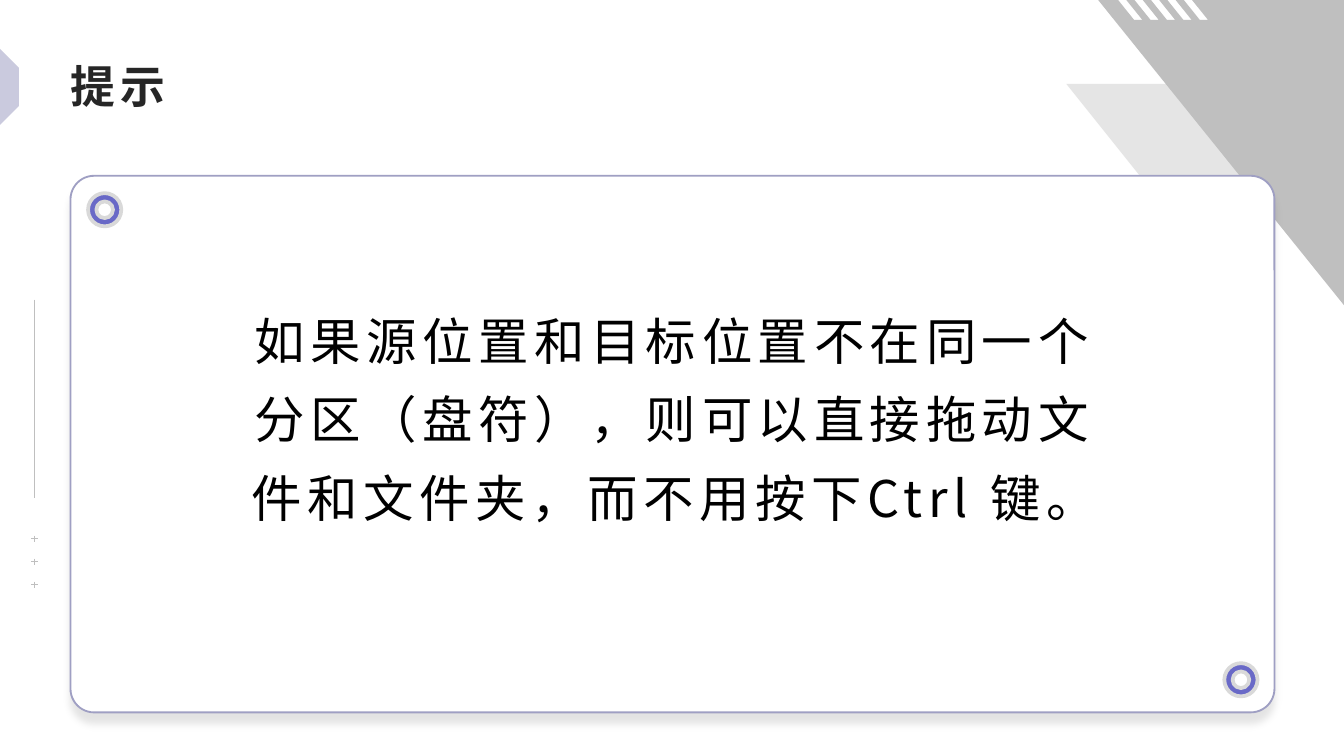
from dataclasses import dataclass

from lxml import etree
from pptx import Presentation
from pptx.dml.color import RGBColor
from pptx.enum import shapes, text
from pptx.oxml import ns
from pptx.util import Pt


@dataclass(frozen=True)
class Theme:
    font: str = "Noto Sans CJK SC"
    title_size: int = 24
    body_size: int = 27
    letter_spacing: int = 3
    title: str = "262626"
    body: str = "000000"
    white: str = "FFFFFF"
    gray: str = "BFBFBF"
    halo: str = "D9D9D9"
    border: str = "9F9FC3"
    accent: str = "6969C7"
    pale_accent: str = "CACADE"
    shadow: str = "000000"


def add_element(parent, tag, **attributes):
    values = {name: str(value) for name, value in attributes.items()}
    return etree.SubElement(parent, ns.qn(tag), values)


def set_attributes(target, values):
    for name, value in values.items():
        setattr(target, name, value)


class SlideBuilder:
    def __init__(self, slide, theme):
        self.slide = slide
        self.theme = theme

    def style(self, shape, fill, line=None, width=1):
        shape.shadow.inherit = False
        shape.fill.solid()
        shape.fill.fore_color.rgb = RGBColor.from_string(fill)
        if line:
            shape.line.color.rgb = RGBColor.from_string(line)
            shape.line.width = Pt(width)
        else:
            shape.line.fill.background()
        return shape

    def preset(self, kind, box, fill, line=None, width=1):
        shape = self.slide.shapes.add_shape(kind, *map(Pt, box))
        return self.style(shape, fill, line, width)

    def polygon(self, points, fill, alpha=None):
        corners = [(Pt(x), Pt(y)) for x, y in points]
        builder = self.slide.shapes.build_freeform(*corners[0])
        builder.add_line_segments(corners[1:], close=True)
        shape = self.style(builder.convert_to_shape(), fill)
        if alpha:
            color = shape.element.spPr.find(".//" + ns.qn("a:srgbClr"))
            add_element(color, "a:alpha", val=alpha * 1000)

    def line(self, x1, y1, x2, y2):
        connector = self.slide.shapes.add_connector(
            shapes.MSO_CONNECTOR.STRAIGHT, *map(Pt, (x1, y1, x2, y2)))
        connector.line.color.rgb = RGBColor.from_string(self.theme.gray)
        connector.line.width = Pt(0.5)
        add_element(connector.element.spPr, "a:effectLst")

    def plus(self, x, y, arm=1.7):
        self.line(x, y - arm, x, y + arm)
        self.line(x - arm, y, x + arm, y)

    def card(self, box):
        shape = self.preset(shapes.MSO_SHAPE.ROUNDED_RECTANGLE, box,
                            self.theme.white, self.theme.border)
        shape.adjustments[0] = 0.044
        effects = shape.element.spPr.find(ns.qn("a:effectLst"))
        shadow = add_element(effects, "a:outerShdw", blurRad=Pt(4), dist=Pt(6),
                             dir=90 * 60000, algn="t", rotWithShape=0)
        color = add_element(shadow, "a:srgbClr", val=self.theme.shadow)
        add_element(color, "a:alpha", val=11000)

    def ring(self, x, y):
        self.preset(shapes.MSO_SHAPE.DONUT, (x, y, 17.8, 17.8),
                    self.theme.accent, self.theme.halo, 2)

    def placeholder(self, shape, words, box, frame_format, paragraph_format, font_format, color):
        set_attributes(shape, dict(zip(("left", "top", "width", "height"), map(Pt, box))))
        frame = shape.text_frame
        set_attributes(frame, {"word_wrap": True, "auto_size": text.MSO_AUTO_SIZE.NONE,
                               **frame_format})
        frame.text = words
        paragraph = frame.paragraphs[0]
        properties = paragraph._p.get_or_add_pPr()
        set_attributes(paragraph, {"space_before": Pt(0), **paragraph_format})
        properties.set("marL", "0")
        properties.set("indent", "0")
        add_element(properties, "a:buNone")
        run = paragraph.runs[0]
        set_attributes(run.font, {"name": self.theme.font, **font_format})
        run.font.color.rgb = RGBColor.from_string(color)
        run_properties = run._r.get_or_add_rPr()
        run_properties.set("spc", str(self.theme.letter_spacing * 100))
        add_element(run_properties, "a:ea", typeface=self.theme.font)
        shape.element.getparent().append(shape.element)


def corner_outline():
    points = [(588.3, 0)]
    for index in range(5):
        left = 599 + 8.8 * index
        points += [(left, 0), (left + 8.6, 10.7), (left + 13, 10.7), (left + 4.4, 0)]
    return points + [(720, 0), (720, 163.5)]


def main():
    theme = Theme()
    presentation = Presentation()
    set_attributes(presentation, {"slide_width": Pt(720), "slide_height": Pt(405)})
    slide = presentation.slides.add_slide(presentation.slide_layouts[1])
    builder = SlideBuilder(slide, theme)

    builder.polygon([(571.3, 45), (720, 45), (720, 116.5), (628.5, 116.5)], theme.gray, 40)
    builder.polygon(corner_outline(), theme.gray)
    builder.line(18.5, 160.5, 18.5, 267)
    for index in range(3):
        builder.plus(18.5, 288.7 + 12.3 * index)

    builder.card((37.8, 94.2, 645, 287.5))
    builder.ring(655.9, 355.3)
    builder.ring(47.2, 103.5)
    tab = builder.preset(shapes.MSO_SHAPE.DIAGONAL_STRIPE, (-14.4, 32.2, 28.8, 28.8),
                         theme.pale_accent)
    tab.rotation = 135

    builder.placeholder(
        slide.shapes.title, "提示", (31.7, 28.8, 634.3, 33.8),
        {"margin_left": Pt(5.8), "margin_right": Pt(4.3), "margin_top": Pt(2),
         "margin_bottom": Pt(2), "vertical_anchor": text.MSO_ANCHOR.MIDDLE},
        {"alignment": text.PP_ALIGN.LEFT},
        {"size": Pt(theme.title_size), "bold": True}, theme.title)
    builder.placeholder(
        slide.placeholders[1],
        "如果源位置和目标位置不在同一个分区（盘符），则可以直接拖动文件和文件夹，而不用按下Ctrl 键。",
        (121, 156.2, 478, 139.7),
        {"margin_left": Pt(5.8), "margin_right": Pt(3.6), "margin_top": Pt(0),
         "margin_bottom": Pt(0), "vertical_anchor": text.MSO_ANCHOR.TOP},
        {"alignment": text.PP_ALIGN.CENTER, "line_spacing": 1.3},
        {"size": Pt(theme.body_size), "bold": False}, theme.body)

    presentation.save("out.pptx")


if __name__ == "__main__":
    main()
